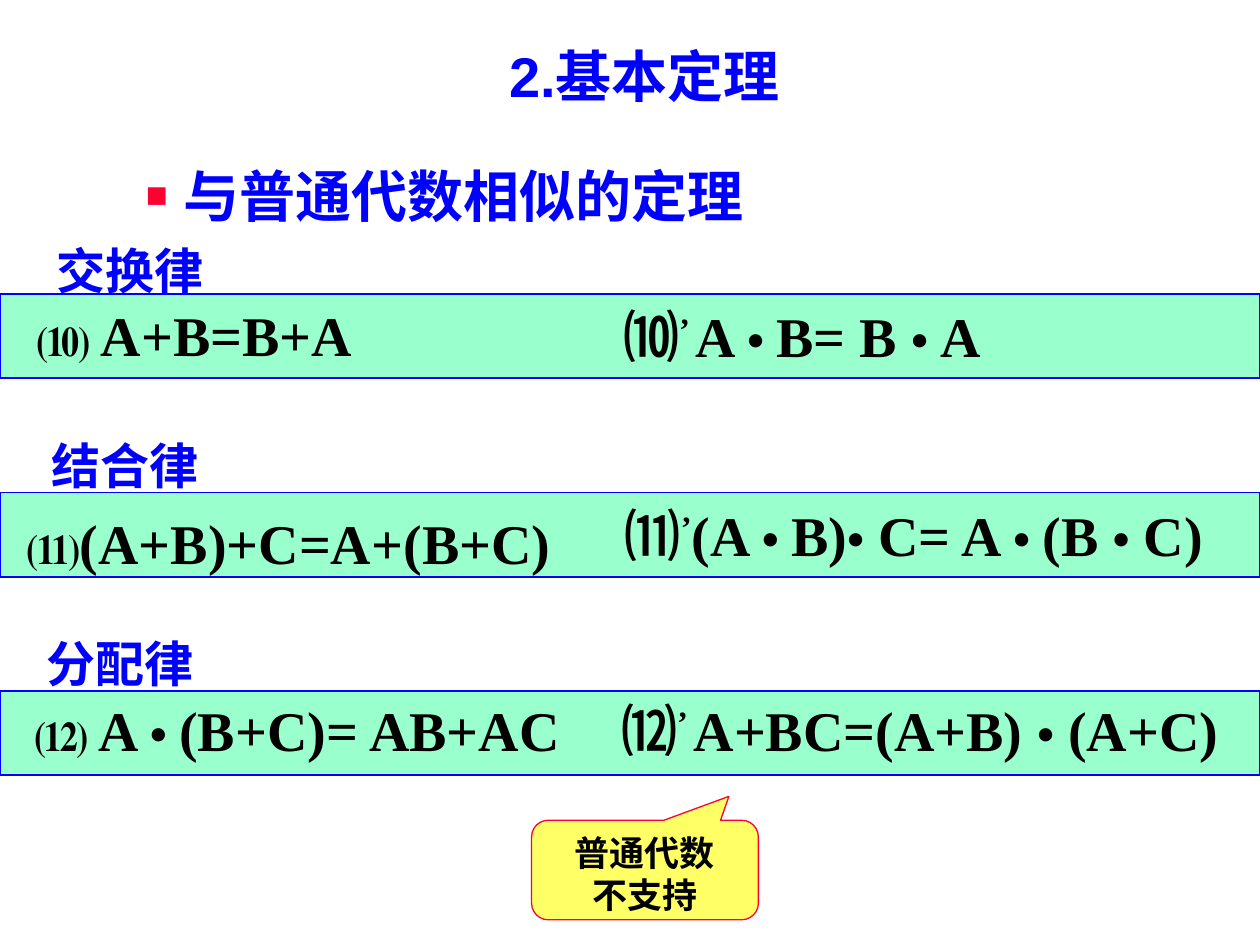
import pptx
import pptx.util
import pptx.dml.color
import pptx.enum.shapes
import pptx.enum.text
import pptx.oxml
import pptx.oxml.ns

Pt = pptx.util.Pt
COLORS = {"blue": "0000FF", "green": "99FFCC", "yellow": "FFFF66", "red": "FF0033", "black": "000000"}
SANS, SERIF, CHINESE = "Arial", "Times New Roman", "Noto Sans CJK SC"
BAR_TOP, BAR_STEP, BAR_HEIGHT = 168, 113.4, 48.2


def color(name):
    return pptx.dml.color.RGBColor.from_string(COLORS[name])


class SlideBuilder:
    def __init__(self, slide):
        self.slide = slide

    def format_run(self, run, size, color_name, latin=SANS, east_asian=CHINESE):
        font = run.font
        font.size, font.bold, font.name = Pt(size), True, latin
        font.color.rgb = color(color_name)
        element = pptx.oxml.parse_xml(
            f'<a:ea {pptx.oxml.ns.nsdecls("a")} typeface="{east_asian}"/>')
        font._element.find(pptx.oxml.ns.qn("a:latin")).addnext(element)

    def place(self, shape, left, top, width, height):
        shape.left, shape.top, shape.width, shape.height = map(Pt, (left, top, width, height))

    def title(self, text, left, top, width, height):
        shape = self.slide.shapes.title
        self.place(shape, left, top, width, height)
        frame = shape.text_frame
        frame.text = text
        frame.auto_size = pptx.enum.text.MSO_AUTO_SIZE.NONE
        frame.vertical_anchor = pptx.enum.text.MSO_ANCHOR.TOP
        frame.paragraphs[0].alignment = pptx.enum.text.PP_ALIGN.CENTER
        self.format_run(frame.paragraphs[0].runs[0], 32, "blue")

    def text_box(self, left, top, width, height):
        shape = self.slide.shapes.add_textbox(*map(Pt, (left, top, width, height)))
        shape.text_frame.word_wrap = True
        return shape.text_frame.paragraphs[0]

    def label(self, text, left, top, width, height=41, size=28):
        paragraph = self.text_box(left, top, width, height)
        paragraph.text = text
        self.format_run(paragraph.runs[0], size, "blue")
        return paragraph

    def bullet(self, text, left, top, width, height, indent):
        paragraph = self.label(text, left, top, width, height, 32)
        properties = paragraph._p.get_or_add_pPr()
        properties.set("marL", str(Pt(indent)))
        properties.set("indent", str(-Pt(indent)))
        for tag in (f'buClr {{}}><a:srgbClr val="{COLORS["red"]}"/></a:buClr',
                    'buSzPct {} val="65000"/',
                    f'buFont {{}} typeface="{SANS}"/',
                    'buChar {} char="■"/'):
            properties.append(pptx.oxml.parse_xml(
                "<a:" + tag.format(pptx.oxml.ns.nsdecls("a")) + ">"))

    def formula(self, marked_text, left, top, width):
        paragraph = self.text_box(left, top, width, 46)
        pieces = marked_text.split("|")
        for index, piece in enumerate(pieces):
            run = paragraph.add_run()
            run.text = piece
            is_prime_number = index == 0 and pieces[1:] and pieces[1].startswith("’")
            font_name = CHINESE if is_prime_number else SERIF
            self.format_run(run, 28 if piece.startswith("•") else 32, "black", font_name, font_name)
            if piece.startswith("’"):
                run.font._element.set("baseline", "30000")

    def shape(self, kind, left, top, width, height, fill, line, line_width):
        shape = self.slide.shapes.add_shape(kind, *map(Pt, (left, top, width, height)))
        shape.shadow.inherit = False
        shape.fill.solid()
        shape.fill.fore_color.rgb = color(fill)
        shape.line.color.rgb = color(line)
        shape.line.width = Pt(line_width)
        return shape

    def bar(self, top):
        self.shape(pptx.enum.shapes.MSO_SHAPE.RECTANGLE, 0, top, 720, BAR_HEIGHT, "green", "blue", 1)

    def callout(self, text, left, top, width, height):
        shape = self.shape(pptx.enum.shapes.MSO_SHAPE.ROUNDED_RECTANGULAR_CALLOUT,
                           left, top, width, height, "yellow", "red", 0.75)
        for index, value in enumerate((0.37, -0.74, 0.167)):
            shape.adjustments[index] = value
        frame = shape.text_frame
        frame.text = text
        frame.vertical_anchor = pptx.enum.text.MSO_ANCHOR.TOP
        for paragraph in frame.paragraphs:
            paragraph.alignment = pptx.enum.text.PP_ALIGN.CENTER
            self.format_run(paragraph.runs[0], 20, "black")


LAWS = [
    (("交换律", 25.2, 134), ("⑽ A+B=B+A", 14.4, 168),
     ("⑽|’ |A |• |B= B |• |A", 349, 169)),
    (("结合律", 22.3, 245.5), ("⑾(A+B)+C=A+(B+C)", 8.6, 287.3),
     ("⑾|’|(A |• |B)|•| C= A |• |(B |•| C)", 350, 282.2)),
    (("分配律", 19.4, 358.6), ("⑿ A |• |(B+C)= AB+AC", 13, 393.8),
     ("⑿|’ |A+BC=(A+B) |•| (A+C)", 347.8, 393.8)),
]


def main():
    presentation = pptx.Presentation()
    presentation.slide_width, presentation.slide_height = Pt(720), Pt(540)
    slide = presentation.slides.add_slide(presentation.slide_layouts[5])
    builder = SlideBuilder(slide)
    builder.title("2.基本定理", 76.3, 20.2, 584, 46)
    builder.bullet("与普通代数相似的定理", 76.3, 88.6, 397, 46, 21.4)
    for index, (label, sum_form, product_form) in enumerate(LAWS):
        builder.bar(BAR_TOP + index * BAR_STEP)
        builder.label(*label, 270)
        builder.formula(*sum_form, 330)
        builder.formula(*product_form, 370)
    builder.callout("普通代数\n不支持", 303.8, 468.7, 129.6, 56.9)
    presentation.save("out.pptx")


if __name__ == "__main__":
    main()
